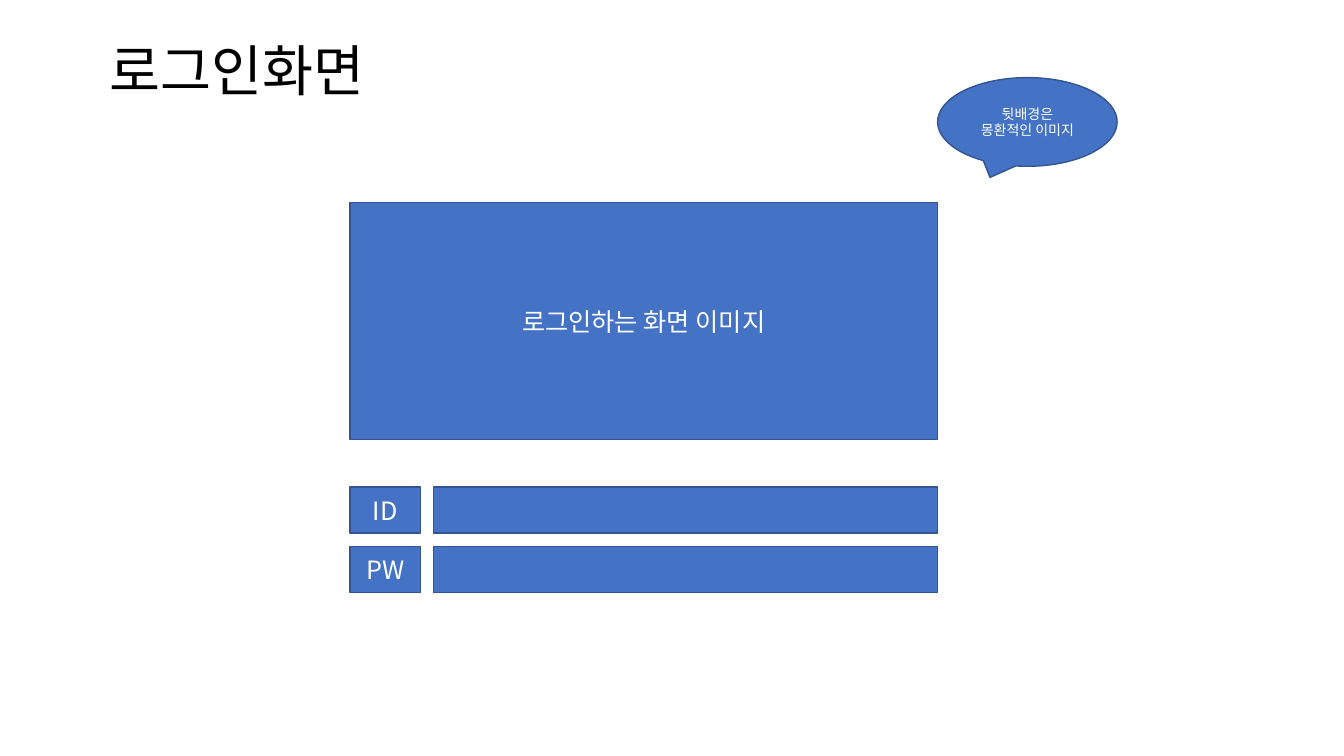
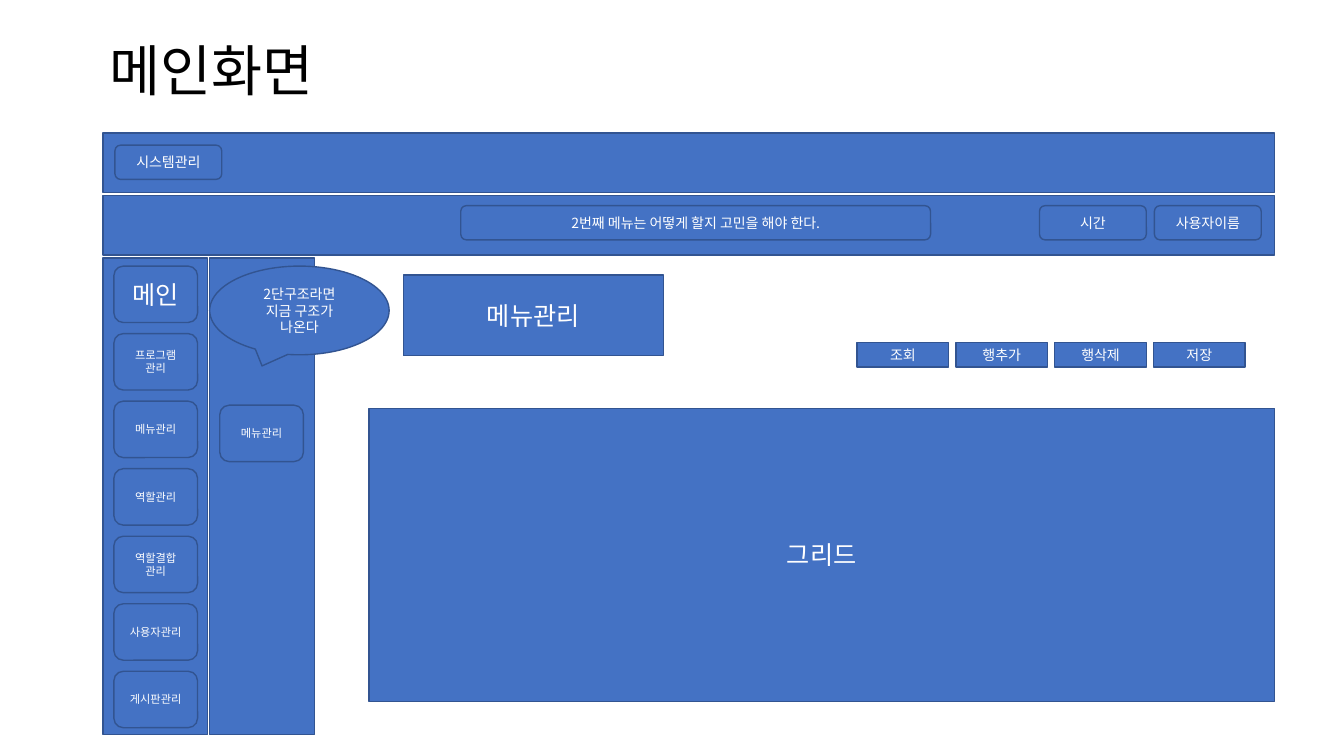
"""Build wireframe slides for a login screen and a main screen."""
from lxml import etree
from pptx import Presentation
from pptx.dml.color import RGBColor
from pptx.enum.shapes import MSO_SHAPE
from pptx.enum.text import MSO_ANCHOR, MSO_AUTO_SIZE, PP_ALIGN
from pptx.oxml.ns import qn
from pptx.util import Inches, Pt

RECT = MSO_SHAPE.RECTANGLE
ROUND = MSO_SHAPE.ROUNDED_RECTANGLE
PROCESS = MSO_SHAPE.FLOWCHART_PROCESS
CALLOUT = MSO_SHAPE.OVAL_CALLOUT
LEFT, CENTER = PP_ALIGN.LEFT, PP_ALIGN.CENTER
MIDDLE = MSO_ANCHOR.MIDDLE
NO_FIT = MSO_AUTO_SIZE.NONE

FONT = "Noto Sans CJK KR"
COLORS = {"fill": "4472C4", "line": "325491", "title": "000000", "label": "FFFFFF"}
TITLE_LAYOUT = 5


def color(name):
    return RGBColor.from_string(COLORS[name])


def write(frame, text, *, size, ink="label", align=CENTER, spacing=None):
    frame.word_wrap = True
    frame.auto_size = NO_FIT
    frame.vertical_anchor = MIDDLE
    frame.text = text
    for paragraph in frame.paragraphs:
        paragraph.alignment = align
        paragraph.line_spacing = spacing
        for run in paragraph.runs:
            run.font.name = FONT
            run.font.size = Pt(size)
            run.font.color.rgb = color(ink)
            east_asian = etree.SubElement(run.font._element, qn("a:ea"))
            east_asian.set("typeface", FONT)


class Wireframe:
    def __init__(self):
        self.deck = Presentation()
        self.deck.slide_width = Inches(13.33)
        self.deck.slide_height = Inches(7.5)
        self.slide = None

    def start(self, title):
        layout = self.deck.slide_layouts[TITLE_LAYOUT]
        self.slide = self.deck.slides.add_slide(layout)
        heading = self.slide.shapes.title
        heading.left, heading.top = Inches(0.99), Inches(0.37)
        heading.width, heading.height = Inches(11.5), Inches(0.71)
        write(heading.text_frame, title, size=39.6, ink="title", align=LEFT, spacing=0.9)

    def block(self, left, top, width, height, text="", size=18, kind=RECT):
        box = (Inches(value) for value in (left, top, width, height))
        shape = self.slide.shapes.add_shape(kind, *box)
        shape.shadow.inherit = False
        shape.fill.solid()
        shape.fill.fore_color.rgb = color("fill")
        shape.line.color.rgb = color("line")
        shape.line.width = Pt(1)
        if text:
            write(shape.text_frame, text, size=size)

    def callout(self, left, top, text):
        self.block(left, top, 1.78, 0.88, text, 10, CALLOUT)

    def menu_item(self, left, top, text, size=8):
        self.block(left, top, 0.83, 0.56, text, size, ROUND)

    def pill(self, left, top, text, width=1.06):
        self.block(left, top, width, 0.34, text, 10, ROUND)

    def button(self, left, top, text):
        self.block(left, top, 0.91, 0.24, text, 10)


def login_screen(page):
    page.start("로그인화면")
    for row, label in enumerate(("ID", "PW")):
        top = 4.83 + row * 0.59
        page.block(3.47, top, 0.7, 0.46, label)
        page.block(4.3, top, 5, 0.46)
    page.block(3.47, 2.01, 5.83, 2.35, "로그인하는 화면 이미지", kind=PROCESS)
    page.callout(9.3, 0.77, "뒷배경은\n몽환적인 이미지")


def main_screen(page):
    page.start("메인화면")
    for top in (1.32, 1.94):
        page.block(1.02, top, 11.62, 0.59)
    for left in (1.02, 2.08):
        page.block(left, 2.56, 1.04, 4.73)

    page.pill(1.14, 1.44, "시스템관리")
    page.pill(4.57, 2.04, "2번째 메뉴는 어떻게 할지 고민을 해야 한다.", 4.66)
    page.pill(10.31, 2.04, "시간")
    page.pill(11.45, 2.04, "사용자이름")

    menu = ("메인", "프로그램\n관리", "메뉴관리", "역할관리",
            "역할결합\n관리", "사용자관리", "게시판관리")
    for row, label in enumerate(menu):
        page.menu_item(1.13, 2.64 + row * 0.67, label, 8 if row else 18)
    page.menu_item(2.18, 4.02, "메뉴관리")
    page.callout(2.08, 2.64, "2단구조라면\n지금 구조가\n나온다")

    page.block(4, 2.73, 2.58, 0.8, "메뉴관리", kind=PROCESS)
    for column, label in enumerate(("조회", "행추가", "행삭제", "저장")):
        page.button(8.5 + column * 0.98, 3.4, label)
    page.block(3.66, 4.05, 8.98, 2.91, "그리드")


def main():
    page = Wireframe()
    login_screen(page)
    main_screen(page)
    page.deck.save("out.pptx")


if __name__ == "__main__":
    main()
